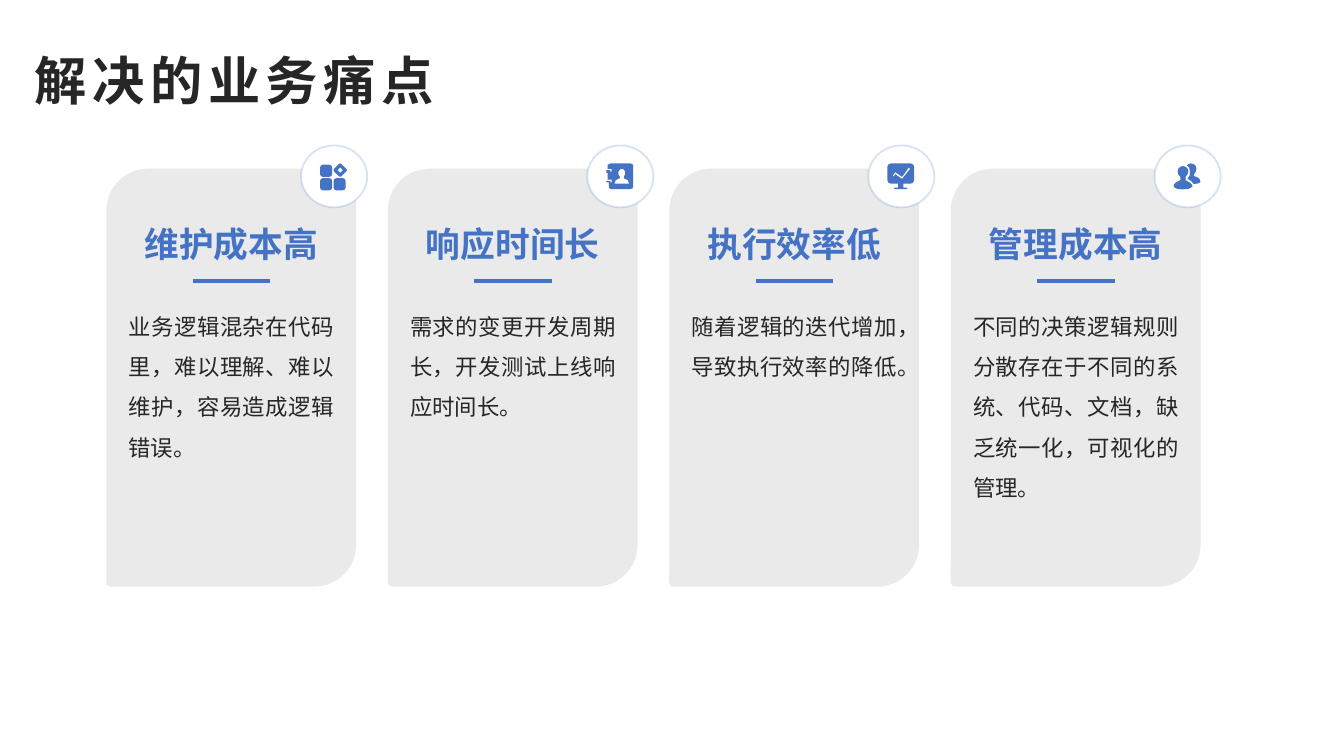
import pptx
import pptx.dml.color
import pptx.enum.shapes
import pptx.enum.text
import pptx.oxml.ns
import pptx.util
from lxml import etree

Cm, Pt = pptx.util.Cm, pptx.util.Pt
RGBColor = pptx.dml.color.RGBColor
SHAPE = pptx.enum.shapes.MSO_SHAPE
ALIGN = pptx.enum.text.PP_ALIGN
ANCHOR = pptx.enum.text.MSO_ANCHOR
qn = pptx.oxml.ns.qn

BLUE = RGBColor(0x44, 0x72, 0xC4)
DARK = RGBColor(0x26, 0x26, 0x26)
GRAY = RGBColor(0x99, 0x99, 0x99)
WHITE = RGBColor(0xFF, 0xFF, 0xFF)
CJK_FONT = "Noto Sans CJK SC"


def rounded(x, y, w, h, cut):
    """Outline of a box whose corners are eased with two short cuts each."""
    near = cut * 0.3
    right, bottom = x + w, y + h
    return [
        (x + cut, y), (right - cut, y), (right - near, y + near), (right, y + cut),
        (right, bottom - cut), (right - near, bottom - near), (right - cut, bottom),
        (x + cut, bottom), (x + near, bottom - near), (x, bottom - cut),
        (x, y + cut), (x + near, y + near),
    ]


# Icon outlines, in hundredths of an inch; an outline inside another is a hole
APPS = [
    rounded(0, 1, 9, 9, 2), rounded(0, 11, 9, 9, 2), rounded(10, 11, 9, 9, 2),
    [(14, 0.5), (15, 0), (16, 0.5), (19.5, 4), (20, 5), (19.5, 6),
     (16, 9.5), (15, 10), (14, 9.5), (10.5, 6), (10, 5), (10.5, 4)],
    [(15, 3), (13, 5), (15, 7), (17, 5)],
]
CONTACTS = [
    [(3, 0), (18, 0), (19.5, 0.5), (20, 2), (20, 17), (19.5, 18.5), (18, 19),
     (3, 19), (2, 18), (2, 14), (0, 14), (0, 13), (3, 13), (3, 14), (4, 14),
     (4, 12), (1, 12), (1, 7), (0, 7), (0, 5), (3, 5), (3, 6), (4, 6), (4, 4),
     (1, 4), (1, 1)],
    [(11.5, 4), (13, 4.5), (14, 6), (14, 8), (13, 10), (13, 11), (16, 12.5),
     (17, 15), (6, 15), (7, 12.5), (10, 11), (10, 10), (9, 8), (9, 6), (10, 4.5)],
]
MONITOR = [
    rounded(0, 0, 20, 15, 2.5), rounded(8, 15, 4, 3, 0), rounded(5, 18, 10, 1, 0.5),
    [(4, 9), (6, 6.5), (11, 10), (16, 3), (17, 4), (11, 11.5), (6, 8), (4.5, 10)],
]
PEOPLE = [
    [(7, 2), (9, 2.5), (10.5, 4), (11, 6), (10.5, 8), (9, 10), (9, 12.5),
     (12.5, 14.5), (14, 16), (14, 17.5), (11, 19), (7, 19.3), (3, 19), (0, 17.5),
     (0.5, 15.5), (2, 14), (5, 12.5), (5, 10), (3.5, 8), (3, 6), (3.5, 4), (5, 2.5)],
    [(13, 0), (15, 0.5), (16.5, 2), (17, 4), (16.5, 6), (15, 8.5), (15.5, 9.5),
     (18, 10.5), (19.5, 12), (20, 14), (18, 15), (15, 15.3), (13, 13),
     (10.5, 11.5), (10.5, 11), (12, 9), (12.3, 6), (11.5, 3), (10, 1.5), (11, 0.5)],
]

TITLE = "解决的业务痛点"
# heading, body, icon, left of the badge in cm
CARDS = [
    ("维护成本高", "业务逻辑混杂在代码里，难以理解、难以维护，容易造成逻辑错误。", APPS, 5.69),
    ("响应时间长", "需求的变更开发周期长，开发测试上线响应时间长。", CONTACTS, 11.1),
    ("执行效率低", "随着逻辑的迭代增加，导致执行效率的降低。", MONITOR, 16.41),
    ("管理成本高", "不同的决策逻辑规则分散存在于不同的系统、代码、文档，缺乏统一化，可视化的管理。",
     PEOPLE, 21.82),
]
CARD_LEFT, CARD_TOP, CARD_PITCH = 2.01, 3.19, 5.32
CARD_W, CARD_H = 4.72, 7.9
BADGE_TOP, BADGE_W, BADGE_H = 2.75, 1.25, 1.17


def set_alpha(color_fill, percent):
    color = color_fill.find(".//" + qn("a:srgbClr"))
    etree.SubElement(color, qn("a:alpha")).set("val", str(percent * 1000))


def add_text(slide, text, left, top, width, height, size, color=DARK, font=CJK_FONT,
             bold=False, align=ALIGN.LEFT, anchor=ANCHOR.TOP, line_spacing=1.0,
             letter_spacing=0, inset=True):
    box = slide.shapes.add_textbox(Cm(left), Cm(top), Cm(width), Cm(height))
    tf = box.text_frame
    tf.word_wrap = True
    tf.vertical_anchor = anchor
    if not inset:
        tf.margin_left = tf.margin_right = tf.margin_top = tf.margin_bottom = 0
    p = tf.paragraphs[0]
    p.alignment, p.line_spacing = align, line_spacing
    r = p.add_run()
    r.text = text
    r.font.size, r.font.bold, r.font.name = Pt(size), bold, font
    r.font.color.rgb = color
    props = r.font._element
    props.set("lang", "zh-CN")
    if letter_spacing:
        props.set("spc", str(letter_spacing * 100))
    etree.SubElement(props, qn("a:ea")).set("typeface", CJK_FONT)


def add_filled(slide, kind, left, top, width, height, color):
    sp = slide.shapes.add_shape(kind, Cm(left), Cm(top), Cm(width), Cm(height))
    sp.shadow.inherit = False
    sp.fill.solid()
    sp.fill.fore_color.rgb = color
    sp.line.fill.background()
    return sp


def add_icon(slide, outlines, left, top):
    fine = [[(x * 10, y * 10) for x, y in outline] for outline in outlines]
    builder = slide.shapes.build_freeform(*fine[0][0], scale=914.4)
    for i, outline in enumerate(fine):
        if i:
            builder.move_to(*outline[0])
        builder.add_line_segments(outline[1:], close=True)
    sp = builder.convert_to_shape(Cm(left), Cm(top))
    sp.shadow.inherit = False
    sp.fill.solid()
    sp.fill.fore_color.rgb = BLUE
    sp.line.fill.background()


def add_card(slide, left, heading, body):
    card = add_filled(slide, SHAPE.ROUND_2_DIAG_RECTANGLE, left, CARD_TOP, CARD_W, CARD_H, GRAY)
    card.adjustments[0], card.adjustments[1] = 0.167, 0.018
    set_alpha(card._element.spPr.find(qn("a:solidFill")), 20)
    add_text(slide, body, left + 0.42, 5.66, 3.89, 5.11, 12,
             align=ALIGN.JUSTIFY, line_spacing=1.5, inset=False)
    add_text(slide, heading, left + 0.29, 3.69, 4.14, 1.3, 18.6, color=BLUE, font="Arial",
             bold=True, align=ALIGN.CENTER, anchor=ANCHOR.BOTTOM, inset=False)
    rule_left = left + 1.63
    rule = slide.shapes.add_connector(pptx.enum.shapes.MSO_CONNECTOR.STRAIGHT,
                                      Cm(rule_left), Cm(5.31), Cm(rule_left + 1.47), Cm(5.31))
    rule.line.color.rgb, rule.line.width = BLUE, Pt(1.75)
    etree.SubElement(rule._element.spPr, qn("a:effectLst"))


def add_badge(slide, left, icon):
    badge = add_filled(slide, SHAPE.OVAL, left, BADGE_TOP, BADGE_W, BADGE_H, WHITE)
    badge.line.color.rgb, badge.line.width = BLUE, Pt(1)
    set_alpha(badge._element.spPr.find(qn("a:ln")), 20)
    add_icon(slide, icon, left + 0.36, BADGE_TOP + 0.34)


def main():
    prs = pptx.Presentation()
    prs.slide_width, prs.slide_height = Cm(25.4), Cm(14.29)
    slide = prs.slides.add_slide(prs.slide_layouts[6])
    for i, (heading, body, icon, badge_left) in enumerate(CARDS):
        add_card(slide, CARD_LEFT + i * CARD_PITCH, heading, body)
        add_badge(slide, badge_left, icon)
    add_text(slide, TITLE, 0.41, 0.43, 16.36, 2.16, 28,
             bold=True, line_spacing=1.3, letter_spacing=3)
    prs.save("out.pptx")


if __name__ == "__main__":
    main()
